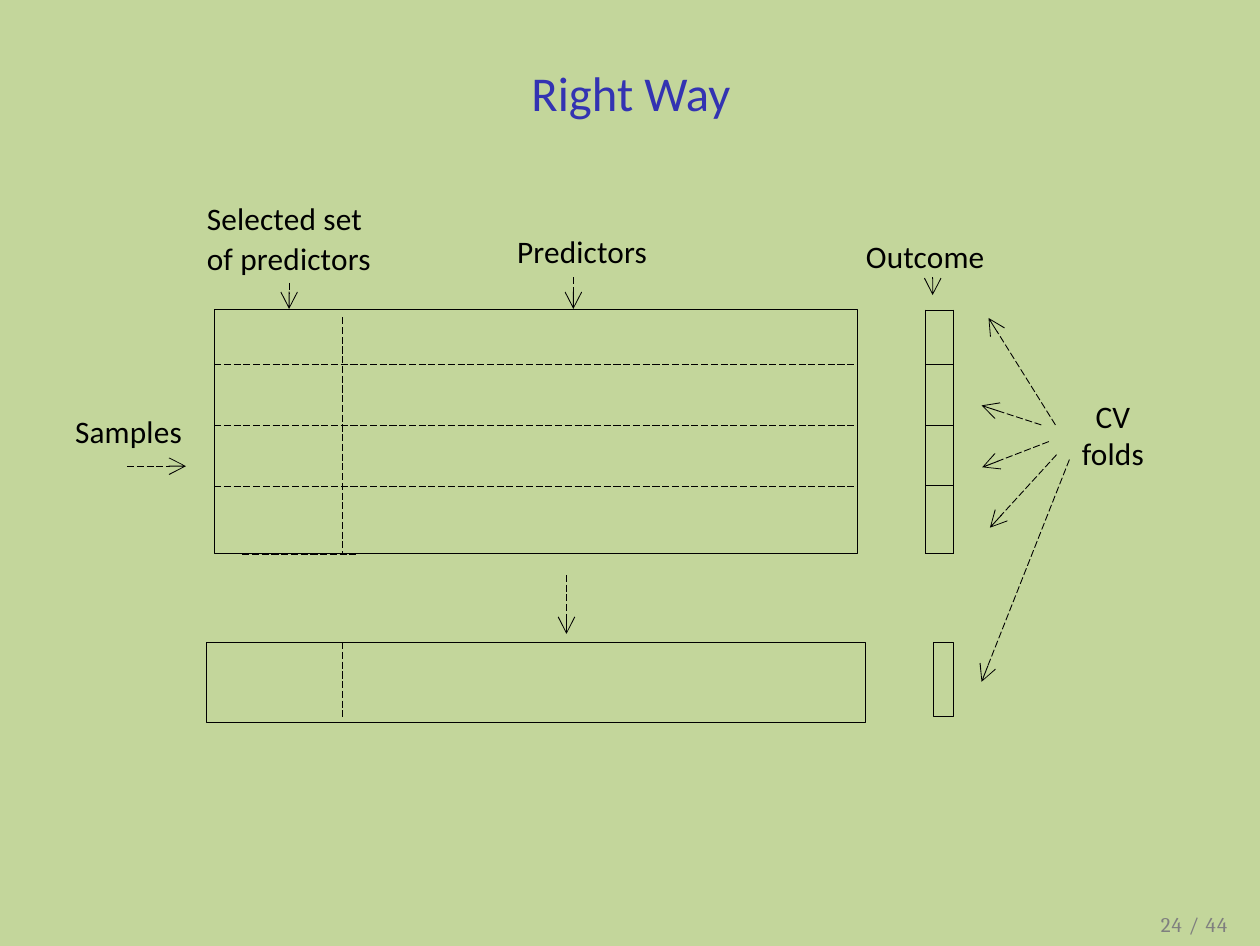
from dataclasses import dataclass

from lxml import etree
from pptx import Presentation
from pptx import util as u
from pptx.dml.color import RGBColor
from pptx.enum import dml, shapes, text
from pptx.oxml import ns
from pptx.slide import Slide
from pptx.text.text import TextFrame

Pt = u.Pt
BACKGROUND = RGBColor(0xC3, 0xD6, 0x9B)
TITLE_BLUE = RGBColor(0x33, 0x33, 0xB2)
BLACK = RGBColor(0, 0, 0)
GRAY = RGBColor(0x7F, 0x7F, 0x7F)
LINE_WIDTH = 0.25

# Shared positions: data matrix, its column split and its fold boundaries
LEFT, RIGHT, SPLIT = 61.7, 247.2, 98.8
FOLD_EDGES = [89.3, *(105 + 17.5 * i for i in range(3)), 159.6]
TOP, BOTTOM = FOLD_EDGES[0], FOLD_EDGES[-1]
TEST_TOP = 185


@dataclass
class Label:
    words: str
    left: float
    top: float
    width: float
    height: float
    align: text.PP_ALIGN = text.PP_ALIGN.CENTER
    spacing: float = 1.0
    size: float = 9
    font: str = "Calibri"
    color: RGBColor = BLACK
    tracking: int = 5
    before: float = 0.8
    inset: float = 1.4


@dataclass
class Box:
    left: float
    top: float
    width: float
    height: float


@dataclass
class Line:
    x1: float
    y1: float
    x2: float
    y2: float
    arrow: bool = True
    dashed: bool = True


TITLE = Label("Right Way", 147.6, 16.6, 68.4, 18, size=14, color=TITLE_BLUE,
              tracking=0, before=1.4)
LABELS = [
    Label("Selected set\vof predictors", 59.6, 56.2, 56, 23.8,
          text.PP_ALIGN.LEFT, 1.06, before=0.8, inset=0.7),
    Label("Predictors", 145.4, 65.5, 44.6, 12.2),
    Label("Outcome", 244.2, 67, 44.6, 12.2),
    Label("Samples", 18, 117.4, 38, 12.2),
    Label("CV\vfolds", 308.4, 113, 24.5, 23),
    Label("24 / 44", 334.5, 262.6, 24.5, 7.9, text.PP_ALIGN.LEFT, size=6,
          font="Cambria", color=GRAY, tracking=30, before=0, inset=0),
]
BOXES = [
    Box(LEFT, TOP, RIGHT - LEFT, BOTTOM - TOP),
    Box(59.6, TEST_TOP, 189.6, 23.3),
    Box(268.8, TEST_TOP, 5.8, 21.3),
]
DIVIDERS = [
    *(Line(LEFT, y, RIGHT, y, arrow=False) for y in FOLD_EDGES[1:-1]),
    Line(SPLIT, 91.4, SPLIT, BOTTOM, arrow=False),
    Line(SPLIT, TEST_TOP, SPLIT, 206.5, arrow=False),
    Line(69.8, BOTTOM, 103, BOTTOM, arrow=False),
]
ARROWS = [
    Line(83.3, 81.5, 83.3, 89),
    Line(165.2, 79.8, 165.2, 89),
    Line(268.7, 79.8, 268.7, 85, dashed=False),
    Line(36.6, 134.3, 53.6, 134.3),
    Line(163.2, 165.6, 163.2, 182.6),
    # From the fold caption to each fold
    Line(304.1, 122.4, 284.8, 91.6),
    Line(300, 122.4, 282.8, 116.8),
    Line(302.2, 127.2, 283, 134.6),
    Line(304.4, 131, 285.2, 152),
    Line(308.1, 132.4, 282.8, 196.4),
]


def fill_label(frame: TextFrame, label: Label) -> None:
    frame.text = label.words
    frame.word_wrap = True
    frame.auto_size = text.MSO_AUTO_SIZE.NONE
    frame.vertical_anchor = text.MSO_ANCHOR.TOP
    frame.margin_left = frame.margin_right = frame.margin_bottom = 0
    frame.margin_top = Pt(label.inset)
    para = frame.paragraphs[0]
    para.alignment = label.align
    para.line_spacing = label.spacing
    para.space_before = Pt(label.before)
    para.font.name = label.font
    para.font.size = Pt(label.size)
    para.font.color.rgb = label.color
    para._p.pPr.find(ns.qn("a:defRPr")).set("spc", str(label.tracking))


def add_label(page: Slide, label: Label) -> None:
    box = page.shapes.add_textbox(Pt(label.left), Pt(label.top),
                                  Pt(label.width), Pt(label.height))
    fill_label(box.text_frame, label)


def add_box(page: Slide, box: Box) -> None:
    shape = page.shapes.add_shape(
        shapes.MSO_SHAPE.RECTANGLE, Pt(box.left), Pt(box.top),
        Pt(box.width), Pt(box.height))
    shape.shadow.inherit = False
    shape.fill.background()
    shape.line.color.rgb = BLACK
    shape.line.width = Pt(LINE_WIDTH)


def add_line(page: Slide, line: Line) -> None:
    connector = page.shapes.add_connector(
        shapes.MSO_CONNECTOR.STRAIGHT, Pt(line.x1), Pt(line.y1),
        Pt(line.x2), Pt(line.y2))
    connector.line.color.rgb = BLACK
    connector.line.width = Pt(LINE_WIDTH)
    if line.dashed:
        connector.line.dash_style = dml.MSO_LINE.LONG_DASH
    if line.arrow:
        etree.SubElement(connector.line._get_or_add_ln(), ns.qn("a:tailEnd"),
                         type="arrow", w="sm", len="sm")
    etree.SubElement(connector._element.spPr, ns.qn("a:effectLst"))


def add_outcome_folds(page: Slide, left: float, width: float) -> None:
    heights = [low - high for high, low in zip(FOLD_EDGES, FOLD_EDGES[1:])]
    table = page.shapes.add_table(len(heights), 1, Pt(left), Pt(TOP),
                                  Pt(width), Pt(BOTTOM - TOP)).table
    table.first_row = table.horz_banding = False
    for row, height in zip(table.rows, heights):
        row.height = Pt(height)
        cell = row.cells[0]
        cell.margin_left = cell.margin_right = 0
        cell.margin_top = cell.margin_bottom = 0
        cell.text_frame.paragraphs[0].font.size = Pt(6)
        for side in ("lnL", "lnR", "lnT", "lnB"):
            border = etree.SubElement(cell._tc.get_or_add_tcPr(),
                                      ns.qn(f"a:{side}"),
                                      w=str(Pt(LINE_WIDTH)))
            fill = etree.SubElement(border, ns.qn("a:solidFill"))
            etree.SubElement(fill, ns.qn("a:srgbClr"), val=str(BLACK))
        cell.fill.background()


def main() -> None:
    deck = Presentation()
    deck.slide_width, deck.slide_height = Pt(363), Pt(272.5)
    page = deck.slides.add_slide(deck.slide_layouts.get_by_name("Title Only"))
    page.background.fill.solid()
    page.background.fill.fore_color.rgb = BACKGROUND

    # Title
    title = page.shapes.title
    title.left, title.top = Pt(TITLE.left), Pt(TITLE.top)
    title.width, title.height = Pt(TITLE.width), Pt(TITLE.height)
    fill_label(title.text_frame, TITLE)

    # Data matrix, test fold and outcome column
    for box in BOXES:
        add_box(page, box)
    for line in DIVIDERS + ARROWS:
        add_line(page, line)
    add_outcome_folds(page, left=266.7, width=7.9)

    # Captions and page number
    for label in LABELS:
        add_label(page, label)

    deck.save("out.pptx")


if __name__ == "__main__":
    main()
